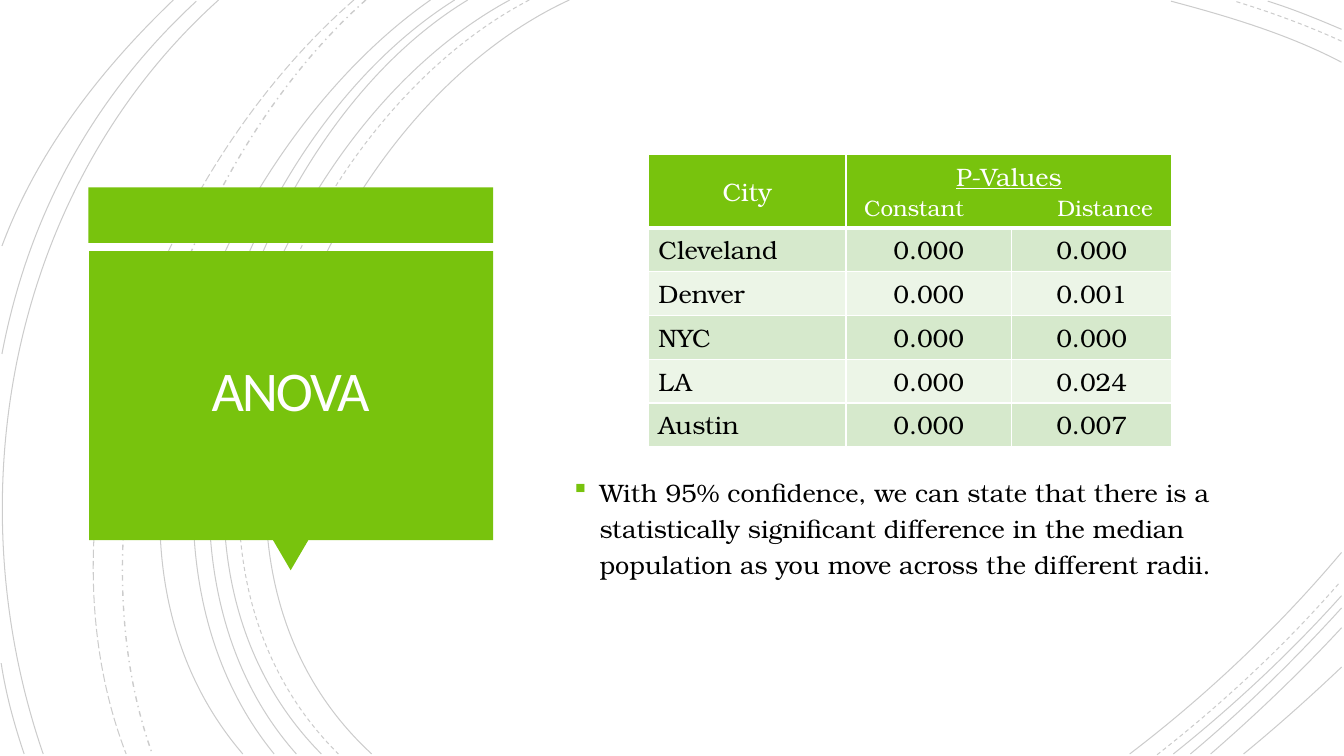
from typing import NamedTuple

from lxml.etree import SubElement
from pptx import Presentation
from pptx.dml.color import RGBColor
from pptx.enum.dml import MSO_LINE
from pptx.enum.shapes import MSO_SHAPE
from pptx.enum.text import MSO_ANCHOR, PP_ALIGN
from pptx.oxml import parse_xml
from pptx.oxml.ns import nsdecls, qn
from pptx.util import Cm, Pt

COLORS = {"green": "78C30D", "white": "FFFFFF", "title": "FFFEFF", "black": "000000",
          "band_dark": "D6E9CC", "band_light": "ECF5E7"}
BODY_FONT = "TeX Gyre Bonum"


class Arc(NamedTuple):
    """Cubic curve in centimetres: start, two control points, end."""
    start: tuple[float, float]
    control1: tuple[float, float]
    control2: tuple[float, float]
    end: tuple[float, float]
    dash: MSO_LINE = MSO_LINE.SOLID
    width: float = 0.75


class Block(NamedTuple):
    kind: MSO_SHAPE
    left: float
    top: float
    width: float
    height: float
    rotation: float = 0


ARCS = [
    Arc((14.35, 0), (8, 2.92), (3.63, 13.72), (9.37, 19)),
    Arc((33.81, 1.57), (32.46, 0.86), (30.94, 0.41), (29.51, 0.03)),
    Arc((28.47, 19), (30.4, 17.53), (32.23, 15.8), (33.81, 13.92)),
    Arc((13.34, 0), (7.24, 3.18), (3.12, 13.64), (8.53, 19), MSO_LINE.DASH),
    Arc((33.81, 1.04), (32.94, 0.64), (32, 0.3), (31.12, 0.03), MSO_LINE.DASH),
    Arc((29.16, 19.02), (30.81, 17.73), (32.39, 16.26), (33.78, 14.66), MSO_LINE.DASH),
    Arc((12.85, 0), (6.86, 3.23), (2.79, 13.64), (8.1, 19)),
    Arc((33.81, 0.74), (33.2, 0.48), (32.59, 0.23), (31.95, 0.03)),
    Arc((29.57, 19), (31.06, 17.81), (32.51, 16.46), (33.81, 15.01)),
    Arc((11.79, 0), (6.2, 3.38), (2.79, 13.74), (7.47, 19)),
    Arc((30, 19), (31.34, 17.88), (32.61, 16.64), (33.81, 15.32)),
    Arc((11.46, 0), (5.87, 3.51), (2.46, 13.54), (6.91, 19)),
    Arc((30.51, 19), (31.65, 18.01), (32.77, 16.94), (33.81, 15.82)),
    Arc((10.85, 0), (5.51, 3.73), (1.35, 13.44), (6.12, 19)),
    Arc((31.34, 19), (32.18, 18.31), (33, 17.58), (33.81, 16.81)),
    Arc((9.22, 0), (4.47, 4.22), (1.65, 12.93), (3.84, 19), MSO_LINE.DASH_DOT, 1),
    Arc((8.92, 0), (3.99, 4.29), (0.74, 12.67), (3.18, 19), MSO_LINE.LONG_DASH),
    Arc((5.51, 0), (0.28, 4.7), (-1.17, 12.45), (1.09, 19)),
    Arc((4.95, 0.03), (2.34, 2.44), (0.71, 5.44), (0.05, 8.92)),
    Arc((0.03, 16.71), (0.15, 17.5), (0.36, 18.26), (0.61, 19)),
    Arc((4.37, 0), (2.54, 1.75), (0.94, 3.81), (0.05, 6.2)),
]
BLOCKS = [
    Block(MSO_SHAPE.RECTANGLE, 2.23, 4.72, 10.2, 1.4),
    Block(MSO_SHAPE.ISOSCELES_TRIANGLE, 6.88, 13.61, 0.89, 0.76, 180),
    Block(MSO_SHAPE.RECTANGLE, 2.25, 6.33, 10.18, 7.28),
]
P_VALUES = [
    ("Cleveland", "0.000", "0.000"),
    ("Denver", "0.000", "0.001"),
    ("NYC", "0.000", "0.000"),
    ("LA", "0.000", "0.024"),
    ("Austin", "0.000", "0.007"),
]
COLUMN_WIDTHS = (4.98, 4.17, 4.04)
HEADER_HEIGHT, ROW_HEIGHT = 1.85, 1.1


def rgb(name: str) -> RGBColor:
    return RGBColor.from_string(COLORS[name])


def set_font(p, color: str, size: float = 18, name: str = BODY_FONT) -> None:
    p.font.name = name
    p.font.size = Pt(size)
    p.font.color.rgb = rgb(color)


def draw_arc(shapes, arc: Arc) -> None:
    """Draw the curve in faint black, turning three line segments into one cubic."""
    start, *rest = [(Cm(x), Cm(y)) for x, y in arc[:4]]
    builder = shapes.build_freeform(*start)
    builder.add_line_segments(rest, close=False)
    sp = builder.convert_to_shape()
    outline = sp.element.spPr.find(f".//{qn('a:path')}")
    segments = outline.findall(qn("a:lnTo"))
    curve = SubElement(outline, qn("a:cubicBezTo"))
    for segment in segments:
        curve.append(segment[0])
        outline.remove(segment)
    sp.shadow.inherit = False
    sp.fill.background()
    sp.line.color.rgb = rgb("black")
    sp.line.width = Pt(arc.width)
    sp.line.dash_style = arc.dash
    color = sp.element.spPr.find(f".//{qn('a:ln')}//{qn('a:srgbClr')}")
    SubElement(color, qn("a:alpha"), val="20000")


def draw_block(shapes, block: Block) -> None:
    sp = shapes.add_shape(block.kind, *(Cm(v) for v in block[1:5]))
    sp.rotation = block.rotation
    sp.shadow.inherit = False
    sp.fill.solid()
    sp.fill.fore_color.rgb = rgb("green")
    sp.line.fill.background()


def place_title(title) -> None:
    title.left, title.top, title.width, title.height = Cm(2.46), Cm(6.5), Cm(9.73), Cm(6.86)
    title.element.getparent().append(title.element)
    tf = title.text_frame
    tf.text = "ANOVA"
    tf.vertical_anchor = MSO_ANCHOR.MIDDLE
    tf.margin_left = tf.margin_top = tf.margin_right = tf.margin_bottom = Cm(0.25)
    p = tf.paragraphs[0]
    p.alignment = PP_ALIGN.CENTER
    p.line_spacing = 0.85
    set_font(p, "title", 40, "Calibri")
    p.font._element.set("spc", "-150")


def format_cell(cell, fill: str, top: float = 1, bottom: float = 1) -> None:
    """Fill the cell and give it white borders, widths in points."""
    cell.fill.solid()
    cell.fill.fore_color.rgb = rgb(fill)
    tc_pr = cell._tc.get_or_add_tcPr()
    for i, (side, width) in enumerate((("L", 1), ("R", 1), ("T", top), ("B", bottom))):
        tc_pr.insert(i, parse_xml(
            f'<a:ln{side} {nsdecls("a")} w="{Pt(width)}"><a:solidFill>'
            f'<a:srgbClr val="{COLORS["white"]}"/></a:solidFill></a:ln{side}>'))


def add_p_value_table(shapes) -> None:
    height = HEADER_HEIGHT + ROW_HEIGHT * len(P_VALUES)
    table = shapes.add_table(len(P_VALUES) + 1, len(COLUMN_WIDTHS), Cm(16.34), Cm(3.89),
                             Cm(sum(COLUMN_WIDTHS)), Cm(height)).table
    table.first_row = table.horz_banding = False
    for column, width in zip(table.columns, COLUMN_WIDTHS):
        column.width = Cm(width)
    for i, row in enumerate(table.rows):
        row.height = Cm(ROW_HEIGHT if i else HEADER_HEIGHT)

    for cell in table.rows[0].cells:
        format_cell(cell, "green", bottom=3)
    city, heading = table.cell(0, 0), table.cell(0, 1)
    heading.merge(table.cell(0, 2))
    city.text = "City"
    city.vertical_anchor = MSO_ANCHOR.MIDDLE
    heading.text = "P-Values\n\tConstant\tDistance"
    p_values, labels = heading.text_frame.paragraphs
    for p in (city.text_frame.paragraphs[0], p_values):
        p.alignment = PP_ALIGN.CENTER
        set_font(p, "white")
    p_values.font.underline = True
    tabs = SubElement(labels._p.get_or_add_pPr(), qn("a:tabLst"))
    for position in (0.2, 5.07):
        SubElement(tabs, qn("a:tab"), pos=str(Cm(position)), algn="l")
    set_font(labels, "white", 16)

    for r, values in enumerate(P_VALUES, 1):
        for c, value in enumerate(values):
            cell = table.cell(r, c)
            format_cell(cell, "band_dark" if r % 2 else "band_light", top=3 if r == 1 else 1)
            cell.text = value
            p = cell.text_frame.paragraphs[0]
            p.alignment = PP_ALIGN.CENTER if c else PP_ALIGN.LEFT
            set_font(p, "black")


def add_conclusion(shapes) -> None:
    tf = shapes.add_textbox(Cm(14.22), Cm(11.75), Cm(17.42), Cm(6.63)).text_frame
    tf.word_wrap = True
    p = tf.paragraphs[0]
    p.text = ("With 95% confidence, we can state that there is a statistically significant "
              "difference in the median population as you move across the different radii.")
    p.line_spacing = 1.2
    p_pr = p._p.get_or_add_pPr()
    p_pr.set("marL", str(Cm(0.64)))
    p_pr.set("indent", str(Cm(-0.64)))
    SubElement(SubElement(p_pr, qn("a:buClr")), qn("a:srgbClr"), val=COLORS["green"])
    SubElement(p_pr, qn("a:buSzPct"), val="110000")
    SubElement(p_pr, qn("a:buFont"), typeface="Wingdings", charset="2")
    SubElement(p_pr, qn("a:buChar"), char="§")
    set_font(p, "black")


def main() -> None:
    prs = Presentation()
    prs.slide_width, prs.slide_height = Cm(33.87), Cm(19.05)
    slide = prs.slides.add_slide(prs.slide_layouts[5])
    for arc in ARCS:
        draw_arc(slide.shapes, arc)
    for block in BLOCKS:
        draw_block(slide.shapes, block)
    place_title(slide.shapes.title)
    add_p_value_table(slide.shapes)
    add_conclusion(slide.shapes)
    prs.save("out.pptx")


if __name__ == "__main__":
    main()
